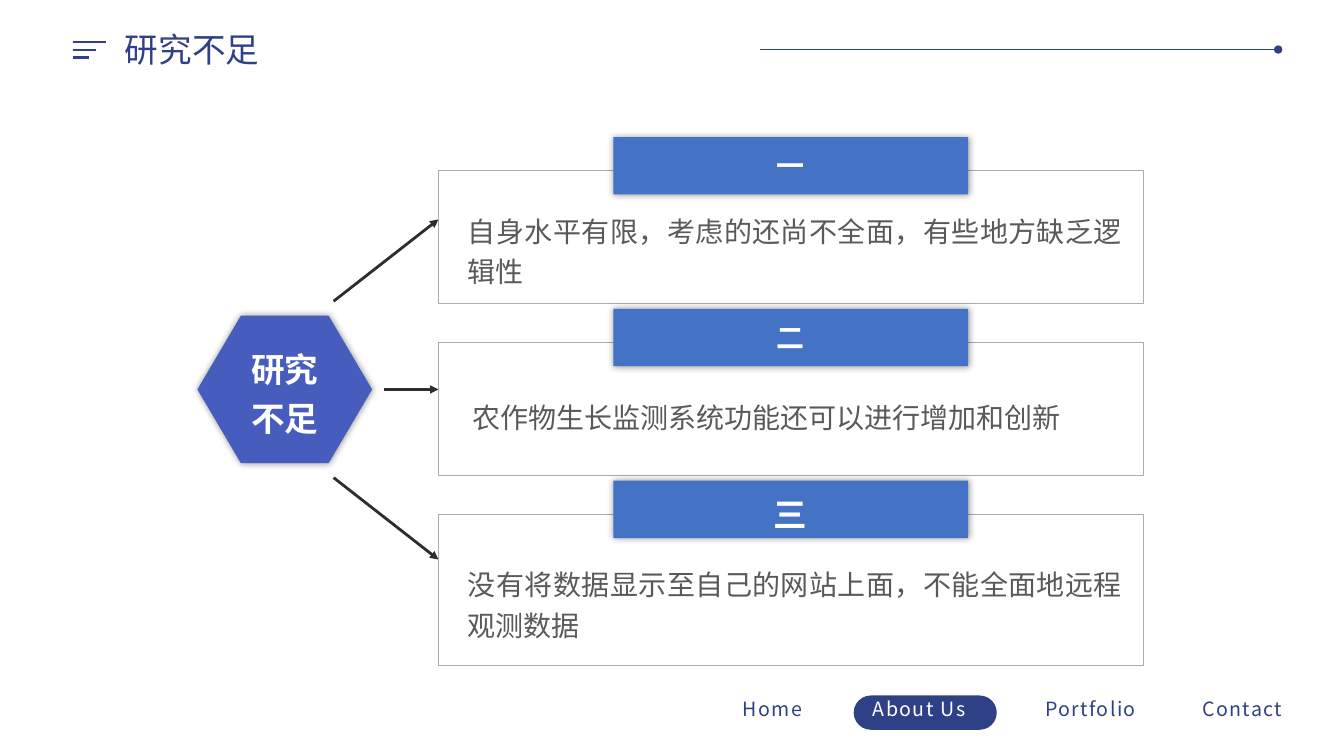
from pptx import Presentation
from pptx.dml.color import RGBColor
from pptx.enum.shapes import MSO_CONNECTOR, MSO_SHAPE
from pptx.enum.text import MSO_ANCHOR, PP_ALIGN
from pptx.oxml import parse_xml
from pptx.oxml.ns import nsdecls
from pptx.util import Pt

TITLE = "研究不足"
HUB = "研究\n不足"
ROWS = [
    {"head": "一", "size": 20, "body": "自身水平有限，考虑的还尚不全面，有些地方缺乏逻辑性",
     "high": 95, "left": 21, "top": 26.6},
    {"head": "二", "size": 20, "body": "农作物生长监测系统功能还可以进行增加和创新",
     "high": 95, "left": 24, "top": 36.5},
    {"head": "三", "size": 24, "body": "没有将数据显示至自己的网站上面，不能全面地远程观测数据",
     "high": 108, "left": 21, "top": 33.5},
]
NAV = [("Home", 523.4, 60), ("About Us", 616.3, 91),
       ("Portfolio", 739.4, 82), ("Contact", 851.8, 79)]
ACTIVE = "About Us"
COLORS = {"navy": "304086", "hub": "475DBD", "banner": "4472C4", "white": "FFFFFF",
          "body": "595959", "frame": "AFABAB", "arrow": "2E2C2C"}
SANS = "Noto Sans CJK SC"

FRAME_X, FRAME_Y, FRAME_W, PITCH = 313.2, 121.9, 503.3, 122.75
BANNER_W, BANNER_H, RISE = 253.4, 41, 24
HUB_X, HUB_Y, HUB_W, HUB_H = 141, 225.5, 124.8, 105.4
MID_Y = HUB_Y + HUB_H / 2
REACH = [(238.3, -63), (274.3, 0), (238.3, 63)]
RISES = [-121.5, 0, 121.5]

deck = Presentation()
deck.slide_width, deck.slide_height = Pt(960), Pt(540)
slide = deck.slides.add_slide(deck.slide_layouts[5])
shapes = slide.shapes


def color(name):
    return RGBColor.from_string(COLORS[name])


def write(shape, text, size, tint, face="Arial", bold=False, align=PP_ALIGN.LEFT,
          anchor=MSO_ANCHOR.TOP, space=None, track=None, wrap=True):
    frame = shape.text_frame
    frame.text = text
    frame.word_wrap = wrap
    frame.vertical_anchor = anchor
    for para in frame.paragraphs:
        para.alignment = align
        if space:
            para.line_spacing = space
        for run in para.runs:
            font = run.font
            font.size, font.bold, font.name = Pt(size), bold, face
            font.color.rgb = color(tint)
            props = font._element
            props.append(parse_xml(f'<a:ea {nsdecls("a")} typeface="{SANS}"/>'))
            if track:
                props.set("spc", str(track))
    return frame


def block(kind, x, y, w, h, fill=None, line=None, glow=False):
    shape = shapes.add_shape(kind, Pt(x), Pt(y), Pt(w), Pt(h))
    shape.shadow.inherit = False
    if fill:
        shape.fill.solid()
        shape.fill.fore_color.rgb = color(fill)
    else:
        shape.fill.background()
    if line:
        shape.line.color.rgb = color(line)
        shape.line.width = Pt(0)
    else:
        shape.line.fill.background()
    if glow:
        effects = shape._element.spPr.find("{*}effectLst")
        effects.append(parse_xml(
            f'<a:outerShdw {nsdecls("a")} blurRad="{Pt(5)}" dist="0" algn="ctr" rotWithShape="0">'
            '<a:srgbClr val="000000"><a:alpha val="40000"/></a:srgbClr></a:outerShdw>'))
    return shape


def rule(x, y, x2, y2, tint, width, tip=None):
    line = shapes.add_connector(MSO_CONNECTOR.STRAIGHT, Pt(x), Pt(y), Pt(x2), Pt(y2))
    line.line.color.rgb = color(tint)
    line.line.width = Pt(width)
    if tip:
        line.line._get_or_add_ln().append(
            parse_xml(f'<a:tailEnd {nsdecls("a")} type="{tip}"/>'))
    line._element.spPr.append(parse_xml(f'<a:effectLst {nsdecls("a")}/>'))


title = shapes.title
title.left, title.top, title.width, title.height = Pt(82), Pt(17.3), Pt(159), Pt(36)
write(title, TITLE, 24, "navy", SANS, align=PP_ALIGN.JUSTIFY, anchor=MSO_ANCHOR.MIDDLE)
for i, length in enumerate([23.6, 17, 12]):
    y = 29.9 + 5.6 * i
    rule(51.8, y, 51.8 + length, y, "navy", 1.5)
rule(542.9, 35.4, 913, 35.4, "navy", 0.5, "oval")

hub = block(MSO_SHAPE.HEXAGON, HUB_X, HUB_Y, HUB_W, HUB_H, "hub", glow=True)
hub.adjustments[0] = 0.295
write(hub, HUB, 24, "white", bold=True, align=PP_ALIGN.CENTER,
      anchor=MSO_ANCHOR.MIDDLE, space=1.2)
for (x, drop), rise in zip(REACH, RISES):
    rule(x, MID_Y + drop, FRAME_X, MID_Y + rise, "arrow", 0, "triangle")

for i, row in enumerate(ROWS):
    y = FRAME_Y + PITCH * i
    box = block(MSO_SHAPE.RECTANGLE, FRAME_X, y, FRAME_W, row["high"], line="frame")
    text = write(box, row["body"], 20, "body", align=PP_ALIGN.JUSTIFY, space=1.2)
    text.margin_left, text.margin_right = Pt(row["left"]), Pt(15)
    text.margin_top, text.margin_bottom = Pt(row["top"]), Pt(0)
    banner = block(MSO_SHAPE.RECTANGLE, FRAME_X + (FRAME_W - BANNER_W) / 2, y - RISE,
                   BANNER_W, BANNER_H, "banner", glow=True)
    write(banner, row["head"], row["size"], "white", bold=True,
          align=PP_ALIGN.CENTER, space=1.2)

pill = block(MSO_SHAPE.ROUNDED_RECTANGLE, 609.8, 496.8, 102.2, 24.5, "navy")
pill.adjustments[0] = 0.5
for name, x, w in NAV:
    label = shapes.add_textbox(Pt(x), Pt(494.6), Pt(w), Pt(24.5))
    write(label, name, 14, "white" if name == ACTIVE else "navy", SANS, track=100, wrap=False)

deck.save("out.pptx")
